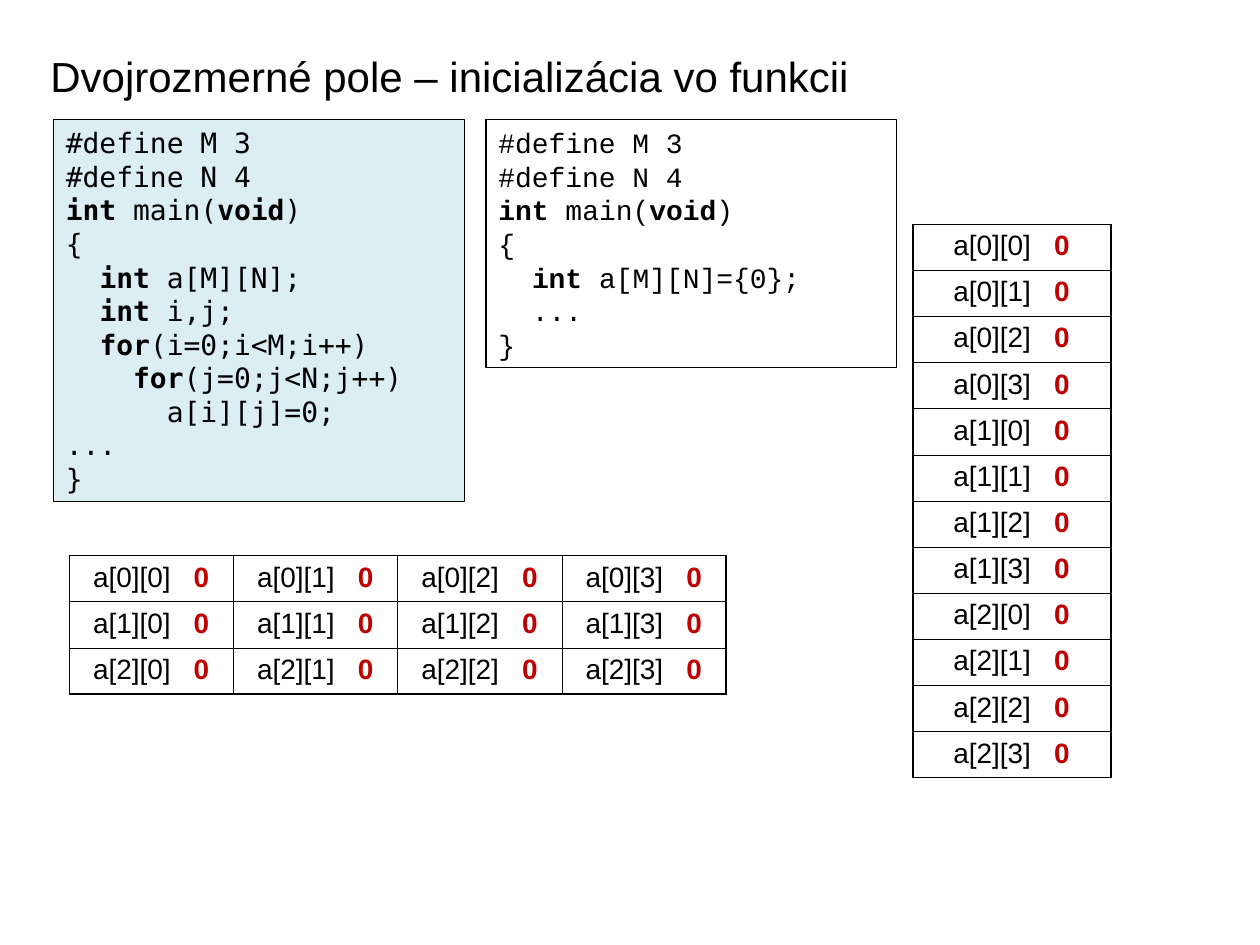
from lxml import etree
from pptx import Presentation
from pptx.dml.color import RGBColor
from pptx.enum.shapes import MSO_SHAPE
from pptx.enum.text import MSO_ANCHOR, MSO_AUTO_SIZE, PP_ALIGN
from pptx.oxml.ns import qn
from pptx.util import Cm, Pt

RECT = MSO_SHAPE.RECTANGLE
TOP, LEFT, FIXED = MSO_ANCHOR.TOP, PP_ALIGN.LEFT, MSO_AUTO_SIZE.NONE

# Content: asterisks enclose bold parts
TITLE = "Dvojrozmerné pole – inicializácia vo funkcii"
HEAD = ["#define M 3", "#define N 4", "*int* main(*void*)", "{"]
LOOP = HEAD + [
    "  *int* a[M][N];",
    "  *int* i,j;",
    "  *for*(i=0;i<M;i++)",
    "    *for*(j=0;j<N;j++)",
    "      a[i][j]=0;",
    "...",
    "}",
]
SHORT = HEAD + ["  *int* a[M][N]={0};", "  ...", "}"]
GRID = [[f"a[{i}][{j}]" for j in range(4)] for i in range(3)]
STACK = [[name] for row in GRID for name in row]

HUES = {"ink": "000000", "paper": "FFFFFF", "sky": "DBEEF4", "red": "C00000"}
ROW = 0.93      # table row height
STOP = 2.03     # from label start to its value
PAIR = 2.36     # width of label and value together
THICK, THIN = 1.08, 0.45


def hue(name):
    return RGBColor.from_string(HUES[name])


def write(para, text, font="Arial", size=16, strong="ink"):
    para.alignment = LEFT
    for n, part in enumerate(text.split("*")):
        if part:
            run = para.add_run()
            run.text = part
            run.font.name, run.font.size = font, Pt(size)
            run.font.bold = n % 2 == 1
            run.font.color.rgb = hue(strong if n % 2 else "ink")


def dress(shape, fill, line):
    shape.fill.solid()
    shape.fill.fore_color.rgb = hue(fill)
    shape.line.color.rgb = hue(line)
    shape.line.width = Pt(0.75)
    frame = shape.text_frame
    frame.word_wrap, frame.auto_size = True, FIXED
    frame.vertical_anchor = TOP
    return frame


def code(slide, lines, left, high, fill, font):
    box = slide.shapes.add_shape(RECT, Cm(left), Cm(2.41), Cm(8.28), Cm(high))
    box.shadow.inherit = False
    frame = dress(box, fill, "ink")
    for n, line in enumerate(lines):
        para = frame.add_paragraph() if n else frame.paragraphs[0]
        write(para, line, font=font)


def edge(cell, widths):
    props = cell._tc.get_or_add_tcPr()
    for n, (side, width) in enumerate(widths.items()):
        line = etree.Element(qn(f"a:ln{side}"), w=str(int(Pt(width))))
        fill = etree.SubElement(line, qn("a:solidFill"))
        etree.SubElement(fill, qn("a:srgbClr"), val=HUES["ink"])
        props.insert(n, line)


def table(slide, names, left, top, wide, ends):
    rows, cols = len(names), len(names[0])
    grid = slide.shapes.add_table(rows, cols, Cm(left), Cm(top),
                                  Cm(wide * cols), Cm(ROW * rows)).table
    for col in grid.columns:
        col.width = Cm(wide)
    for i, row in enumerate(names):
        grid.rows[i].height = Cm(ROW)
        for j, name in enumerate(row):
            cell = grid.cell(i, j)
            cell.fill.solid()
            cell.fill.fore_color.rgb = hue("paper")
            cell.margin_left, cell.margin_right = Cm((wide - PAIR) / 2), 0
            para = cell.text_frame.paragraphs[0]
            tabs = etree.SubElement(para._p.get_or_add_pPr(), qn("a:tabLst"))
            etree.SubElement(tabs, qn("a:tab"), pos=str(int(Cm(STOP))), algn="l")
            write(para, f"{name}\t*0*", strong="red")
            edge(cell, {
                "L": THIN if j else THICK,
                "R": THICK if j == cols - 1 else THIN,
                "T": THIN if i else ends,
                "B": ends if i == rows - 1 else THIN,
            })


def main():
    deck = Presentation()
    deck.slide_width, deck.slide_height = Cm(25.4), Cm(19.05)
    slide = deck.slides.add_slide(deck.slide_layouts[5])

    # Title
    title = slide.shapes.title
    title.left, title.top = Cm(0.76), Cm(0.89)
    title.width, title.height = Cm(19.35), Cm(1.27)
    write(dress(title, "paper", "paper").paragraphs[0], TITLE, size=24)

    # Tables: memory order and matrix
    table(slide, STACK, 18.4, 4.52, 4, THIN)
    table(slide, GRID, 1.4, 11.2, 3.31, THICK)

    # Code
    code(slide, LOOP, 1.08, 7.7, "sky", "DejaVu Sans Mono")
    code(slide, SHORT, 9.8, 5, "paper", "Courier New")
    deck.save("out.pptx")


if __name__ == "__main__":
    main()
